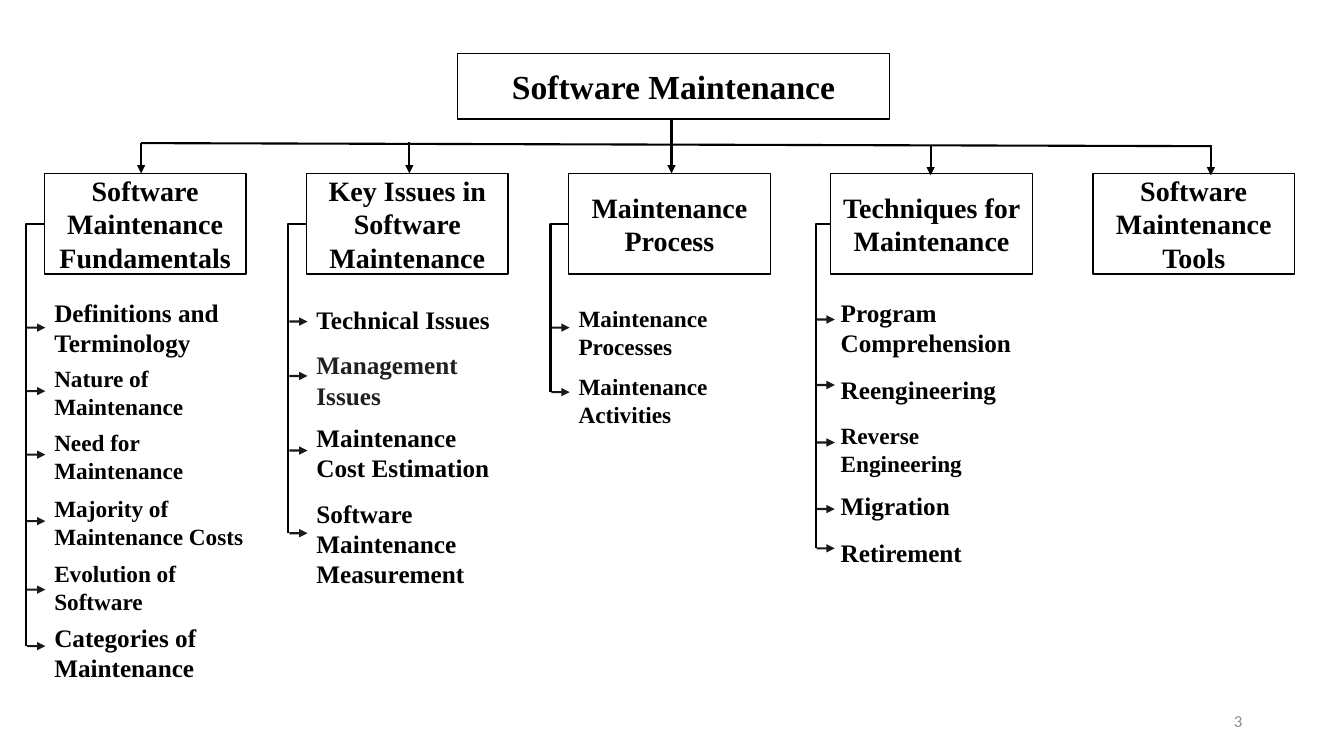
from lxml.etree import SubElement
from pptx import Presentation
from pptx.dml.color import RGBColor
from pptx.enum.shapes import MSO_CONNECTOR, MSO_SHAPE
from pptx.enum.text import MSO_ANCHOR, MSO_AUTO_SIZE, PP_ALIGN
from pptx.oxml.ns import qn
from pptx.util import Inches, Pt

SERIF = "Times New Roman"
LEFT, STEP, WIDE = 0.44, 2.6, 2  # column grid
HEAD, TALL = 1.72, 1  # row of column heads


def write(shape, text, size, hue="000000", align=PP_ALIGN.LEFT,
          anchor=MSO_ANCHOR.MIDDLE, face=SERIF, bold=True):
    frame = shape.text_frame
    frame.word_wrap = True
    frame.auto_size = MSO_AUTO_SIZE.NONE
    frame.vertical_anchor = anchor
    frame.text = text
    para = frame.paragraphs[0]
    para.alignment = align
    font = para.font
    font.name, font.size, font.bold = face, Pt(size), bold
    font.color.rgb = RGBColor.from_string(hue)


def link(x1, y1, x2, y2, arrow=True, kind=MSO_CONNECTOR.STRAIGHT, alpha=100):
    line = slide.shapes.add_connector(kind, *map(Inches, (x1, y1, x2, y2)))
    line.line.width = Pt(1.5)
    line.line.color.rgb = RGBColor.from_string("000000")
    props = line._element.spPr
    if alpha < 100:
        SubElement(next(props.iter(qn("a:srgbClr"))), qn("a:alpha"), val=str(alpha * 1000))
    if arrow:
        SubElement(props.find(qn("a:ln")), qn("a:tailEnd"), type="triangle")
    SubElement(props, qn("a:effectLst"))
    if kind == MSO_CONNECTOR.ELBOW:  # one corner only
        props.find(qn("a:prstGeom")).set("prst", "bentConnector2")


deck = Presentation()
deck.slide_width, deck.slide_height = Inches(13.33), Inches(7.5)
slide = deck.slides.add_slide(deck.slide_layouts[5])

# Heads, with the gap to the spine, then items: text, top, height, size, arrow row
tree = [
    ("Software Maintenance Fundamentals", 0.18, [
        ("Definitions and Terminology", 2.95, 0.6, 18, 3.25),
        ("Nature of Maintenance", 3.59, 0.6, 16.6, 3.88),
        ("Need for Maintenance", 4.23, 0.6, 16.6, 4.51),
        ("Majority of Maintenance Costs", 4.88, 0.6, 16.6, 5.17),
        ("Evolution of Software", 5.53, 0.6, 16.6, 5.85),
        ("Categories of Maintenance", 6.17, 0.6, 18, 6.41)]),
    ("Key Issues in Software Maintenance", 0.18, [
        ("Technical Issues", 2.97, 0.4, 18, 3.19),
        ("Management Issues", 3.42, 0.6, 18, 3.73),
        ("Maintenance Cost Estimation", 4.14, 0.71, 18, 4.47),
        ("Software Maintenance Measurement", 4.89, 1, 18, 5.29)]),
    ("Maintenance Process", 0.18, [
        ("Maintenance Processes", 2.97, 0.6, 16.6, 3.25),
        ("Maintenance Activities", 3.64, 0.6, 16.6, 3.89)]),
    ("Techniques for Maintenance", 0.15, [
        ("Program Comprehension", 2.9, 0.71, 18, 3.17),
        ("Reengineering", 3.66, 0.4, 18, 3.82),
        ("Reverse Engineering", 4.13, 0.6, 16.6, 4.39),
        ("Migration", 4.82, 0.4, 18, 5.05),
        ("Retirement", 5.28, 0.4, 18, 5.44)]),
    ("Software Maintenance Tools", 0, []),
]

# Root box
root = slide.shapes.title
root.left, root.top, root.width, root.height = map(Inches, (4.54, 0.53, 4.28, 0.65))
write(root, "Software Maintenance", 24, align=PP_ALIGN.CENTER)
boxes = [root]

# Column heads
for col, (name, gap, items) in enumerate(tree):
    box = slide.shapes.add_shape(MSO_SHAPE.FLOWCHART_PROCESS, *map(
        Inches, (LEFT + col * STEP, HEAD, WIDE, TALL)))
    box.shadow.inherit = False
    write(box, name, 20, align=PP_ALIGN.CENTER)
    boxes.append(box)
for box in boxes:
    box.fill.solid()
    box.fill.fore_color.rgb = RGBColor.from_string("FFFFFF")
    box.line.color.rgb = RGBColor.from_string("000000")
    box.line.width = Pt(1)

# Items, spines and side arrows
for col, (name, gap, items) in enumerate(tree):
    x = LEFT + col * STEP
    anchor = MSO_ANCHOR.TOP if col else MSO_ANCHOR.MIDDLE
    for text, top, high, size, row in items:
        wide = 2.16 if "Costs" in text else WIDE
        hue = "231F20" if "Management" in text else "000000"
        item = slide.shapes.add_textbox(*map(Inches, (x, top, wide, high)))
        write(item, text, size, hue, anchor=anchor)
        link(x - gap + 0.01, row, x - gap + 0.19, row, alpha=90)
    if items:
        link(x, HEAD + TALL / 2, x - gap, items[-1][-1], False, MSO_CONNECTOR.ELBOW)

# Bus line and drops to the heads
link(1.4, 1.42, 12, 1.45, False)
for x, top, end in [(1.4, 1.42, 1.72), (4.06, 1.41, 1.72), (6.66, 1.18, 1.72),
                    (9.23, 1.44, 1.74), (12.01, 1.44, 1.74)]:
    link(x, top, x, end)

# Page number
page = slide.shapes.add_textbox(*map(Inches, (9.42, 6.95, 3, 0.4)))
write(page, "3", 12, "8C8C8C", PP_ALIGN.RIGHT, face="Calibri", bold=False)

deck.save("out.pptx")
